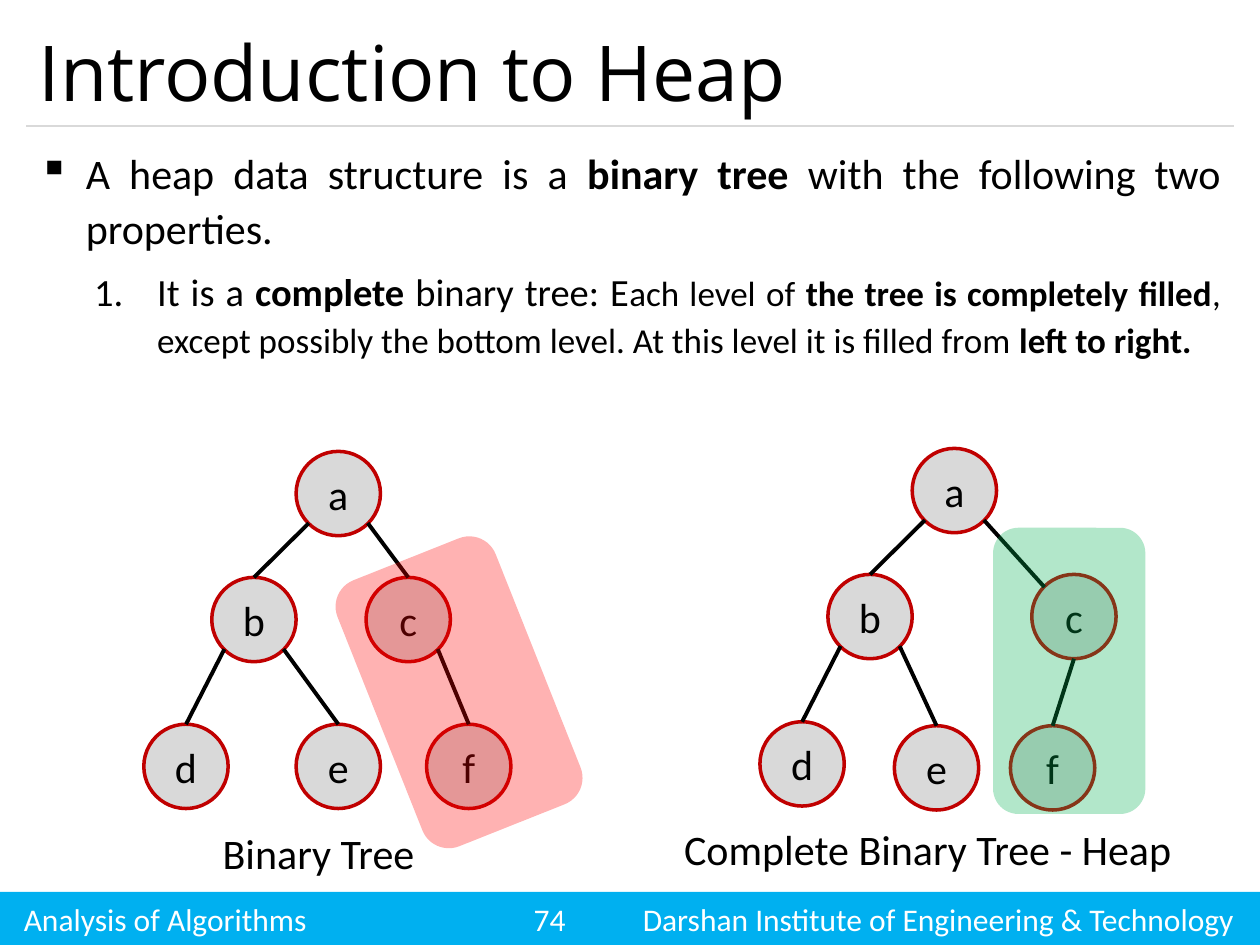
"""Build a slide that contrasts a binary tree with a complete binary tree."""
from lxml.etree import SubElement
from pptx import Presentation
from pptx.dml.color import RGBColor
from pptx.enum.shapes import MSO_CONNECTOR, MSO_SHAPE
from pptx.enum.text import MSO_ANCHOR, PP_ALIGN
from pptx.oxml.ns import qn
from pptx.util import Cm, Pt


def paint(fill, color):
    fill.solid()
    fill.fore_color.rgb = RGBColor.from_string(color)


def write(para, text, size, bold=False, color="000000", face="Calibri"):
    run = para.add_run()
    run.text = text
    run.font.size = Pt(size)
    run.font.bold = bold
    run.font.name = face
    paint(run.font.fill, color)


deck = Presentation()
deck.slide_width, deck.slide_height = Cm(25.4), Cm(19.05)
slide = deck.slides.add_slide(deck.slide_layouts[6])
shapes = slide.shapes

footer = shapes.add_shape(MSO_SHAPE.RECTANGLE, 0, Cm(17.98), Cm(25.4), Cm(1.07))
footer.shadow.inherit = False
paint(footer.fill, "00B0F0")
footer.line.fill.background()
frame = footer.text_frame
frame.margin_left, frame.margin_right = Cm(0.48), Cm(0.25)
frame.vertical_anchor = MSO_ANCHOR.MIDDLE
para = frame.paragraphs[0]
para.alignment = PP_ALIGN.LEFT
tabs = SubElement(para._p.get_or_add_pPr(), qn("a:tabLst"))
for place, side in ((10.6, "ctr"), (24.4, "r")):
    SubElement(tabs, qn("a:tab"), pos=str(Cm(place)), algn=side)
write(para, "Analysis of Algorithms\t74\tDarshan Institute of Engineering & Technology",
      18, color="FFFFFF")

rule = shapes.add_connector(MSO_CONNECTOR.STRAIGHT, Cm(0.53), Cm(2.54), Cm(24.87), Cm(2.54))
paint(rule.line.fill, "D9D9D9")
rule.line.width = Pt(0.75)
SubElement(rule._element.spPr, qn("a:effectLst"))

title = shapes.add_textbox(Cm(0.53), Cm(0.3), Cm(24.33), Cm(2.24))
title.text_frame.word_wrap = True
title.text_frame.vertical_anchor = MSO_ANCHOR.MIDDLE
write(title.text_frame.paragraphs[0], "Introduction to Heap", 44, face="Open Sans")

body = shapes.add_textbox(Cm(0.53), Cm(2.74), Cm(24.33), Cm(14.81))
frame = body.text_frame
frame.word_wrap = True
points = (
    (0.95, -0.95, "buChar", {"char": "▪"}, (
        ("A heap data structure is a ", 24, False),
        ("binary tree ", 24, True),
        ("with the following two properties.", 24, False))),
    (2.39, -1.27, "buAutoNum", {"type": "arabicPeriod"}, (
        ("It is a ", 22, False),
        ("complete", 22, True),
        (" binary tree: E", 22, False),
        ("ach level of ", 20, False),
        ("the tree is completely filled", 20, True),
        (", except possibly the bottom level. At this level it is filled from ", 20, False),
        ("left to right.", 20, True))),
)
for place, (left, hang, mark, kind, runs) in enumerate(points):
    para = frame.add_paragraph() if place else frame.paragraphs[0]
    para.alignment = PP_ALIGN.JUSTIFY
    para.line_spacing = 1.1
    para.space_after = Pt(6)
    props = para._p.get_or_add_pPr()
    props.set("marL", str(Cm(left)))
    props.set("indent", str(Cm(hang)))
    SubElement(props, qn("a:" + mark), **kind)
    for text, size, bold in runs:
        write(para, text, size, bold)

SIZE = 1.7
LEFT, RIGHT = (0.15, 0.85), (0.85, 0.85)
TOP, BASE, EDGE = (0.5, 0), (0.5, 1), (0.15, 0.15)
trees = (
    ({"a": (5.97, 9.1), "b": (4.27, 11.64), "c": (7.38, 11.64),
      "d": (2.9, 14.6), "e": (5.97, 14.6), "f": (8.6, 14.6)},
     TOP, RIGHT, "Binary Tree", (4.24, 16.56, 4.75)),
    ({"a": (18.39, 9.04), "b": (16.69, 11.58), "c": (20.8, 11.58),
      "d": (15.32, 14.55), "e": (18.03, 14.63), "f": (20.37, 14.63)},
     EDGE, BASE, "Complete Binary Tree - Heap", (13.54, 16.48, 10.6)),
)
for spots, enter, leave, label, (left, top, width) in trees:
    nodes = {}
    for name, (x, y) in spots.items():
        node = shapes.add_shape(MSO_SHAPE.OVAL, Cm(x), Cm(y), Cm(SIZE), Cm(SIZE))
        node.shadow.inherit = False
        paint(node.fill, "D9D9D9")
        paint(node.line.fill, "C00000")
        node.line.width = Pt(2)
        node.text_frame.vertical_anchor = MSO_ANCHOR.MIDDLE
        para = node.text_frame.paragraphs[0]
        para.alignment = PP_ALIGN.CENTER
        write(para, name, 24)
        nodes[name] = node
    links = (("a", "b", LEFT, TOP), ("a", "c", RIGHT, enter), ("b", "d", LEFT, TOP),
             ("b", "e", RIGHT, TOP), ("c", "f", leave, TOP))
    for head, tail, start, stop in links:
        ends = [Cm(spots[name][axis] + SIZE * part[axis])
                for name, part in ((head, start), (tail, stop)) for axis in (0, 1)]
        link = shapes.add_connector(MSO_CONNECTOR.STRAIGHT, *ends)
        if start == BASE:
            link.begin_connect(nodes[head], 2)
        if stop == TOP:
            link.end_connect(nodes[tail], 0)
        paint(link.line.fill, "000000")
        link.line.width = Pt(2.25)
        SubElement(link._element.spPr, qn("a:effectLst"))
    note = shapes.add_textbox(Cm(left), Cm(top), Cm(width), Cm(1.27))
    note.text_frame.word_wrap = True
    write(note.text_frame.paragraphs[0], label, 24)

panels = ((7.54, 11.07, 3.43, -21.7, "FF0000"), (20.02, 10.64, 3.07, 0, "00B050"))
for left, top, width, turn, color in panels:
    panel = shapes.add_shape(MSO_SHAPE.ROUNDED_RECTANGLE, Cm(left), Cm(top), Cm(width), Cm(5.77))
    panel.shadow.inherit = False
    panel.rotation = turn
    paint(panel.fill, color)
    panel.line.fill.background()
    tone = panel._element.spPr.find(qn("a:solidFill"))[0]
    SubElement(tone, qn("a:alpha"), val="30000")

deck.save("out.pptx")
